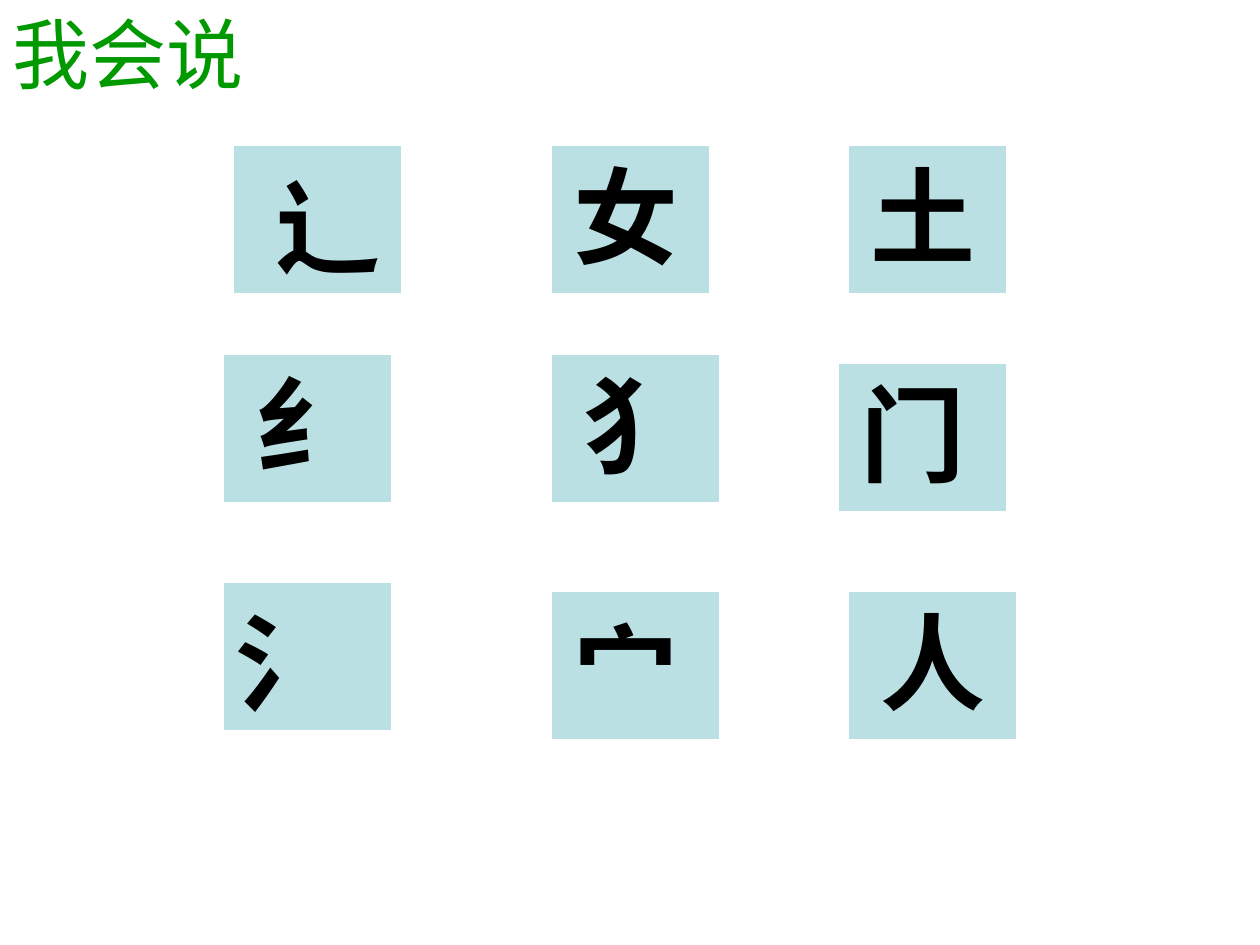
from pptx import Presentation
from pptx.dml.color import RGBColor
from pptx.enum.shapes import MSO_SHAPE
from pptx.enum.text import MSO_ANCHOR
from pptx.util import Emu, Pt

PX = 914400 // 126
GREEN = RGBColor(0x00, 0x99, 0x00)
BLACK = RGBColor(0x00, 0x00, 0x00)
WHITE = RGBColor(0xFF, 0xFF, 0xFF)
TEAL = RGBColor(0xBB, 0xE0, 0xE3)

TITLE = "我会说"
CARD_H, TEXT_H = 149, 139
# radical, card (left, top, width), text (left, top, width)
CARDS = [
    ("辶", (233, 145, 169), (263, 155, 120)),
    ("女", (551, 145, 159), (561, 145, 110)),
    ("土", (848, 145, 159), (858, 145, 248)),
    ("纟", (223, 354, 169), (243, 354, 110)),
    ("犭", (551, 354, 169), (571, 354, 110)),
    ("门", (838, 363, 169), (848, 363, 110)),
    ("氵", (223, 582, 169), (223, 591, 110)),
    ("宀", (551, 591, 169), (561, 601, 110)),
    ("人", (848, 591, 169), (868, 591, 129)),
]


def px(*lengths):
    return [Emu(n * PX) for n in lengths]


def add_card(s, left, top, width):
    sp = s.shapes.add_shape(MSO_SHAPE.RECTANGLE, *px(left, top, width, CARD_H))
    sp.shadow.inherit = False
    sp.fill.solid()
    sp.fill.fore_color.rgb = TEAL
    sp.line.color.rgb = WHITE
    sp.line.width = Pt(0.75)


def add_text(s, text, box, size, color, bold=False, anchor=MSO_ANCHOR.TOP):
    tf = s.shapes.add_textbox(*px(*box)).text_frame
    tf.word_wrap = True
    tf.vertical_anchor = anchor
    r = tf.paragraphs[0].add_run()
    r.text = text
    r.font.name = "Arial"
    r.font.size = Pt(size)
    r.font.bold = bold
    r.font.color.rgb = color


def main():
    prs = Presentation()
    prs.slide_width, prs.slide_height = px(1260, 945)
    s = prs.slides.add_slide(prs.slide_layouts[6])
    add_text(s, TITLE, (0, 0, 1134, 106), 44, GREEN, anchor=MSO_ANCHOR.MIDDLE)
    for radical, card, (left, top, width) in CARDS:
        add_card(s, *card)
        add_text(s, radical, (left, top, width, TEXT_H), 60, BLACK, bold=True)
    prs.save("out.pptx")


if __name__ == "__main__":
    main()
